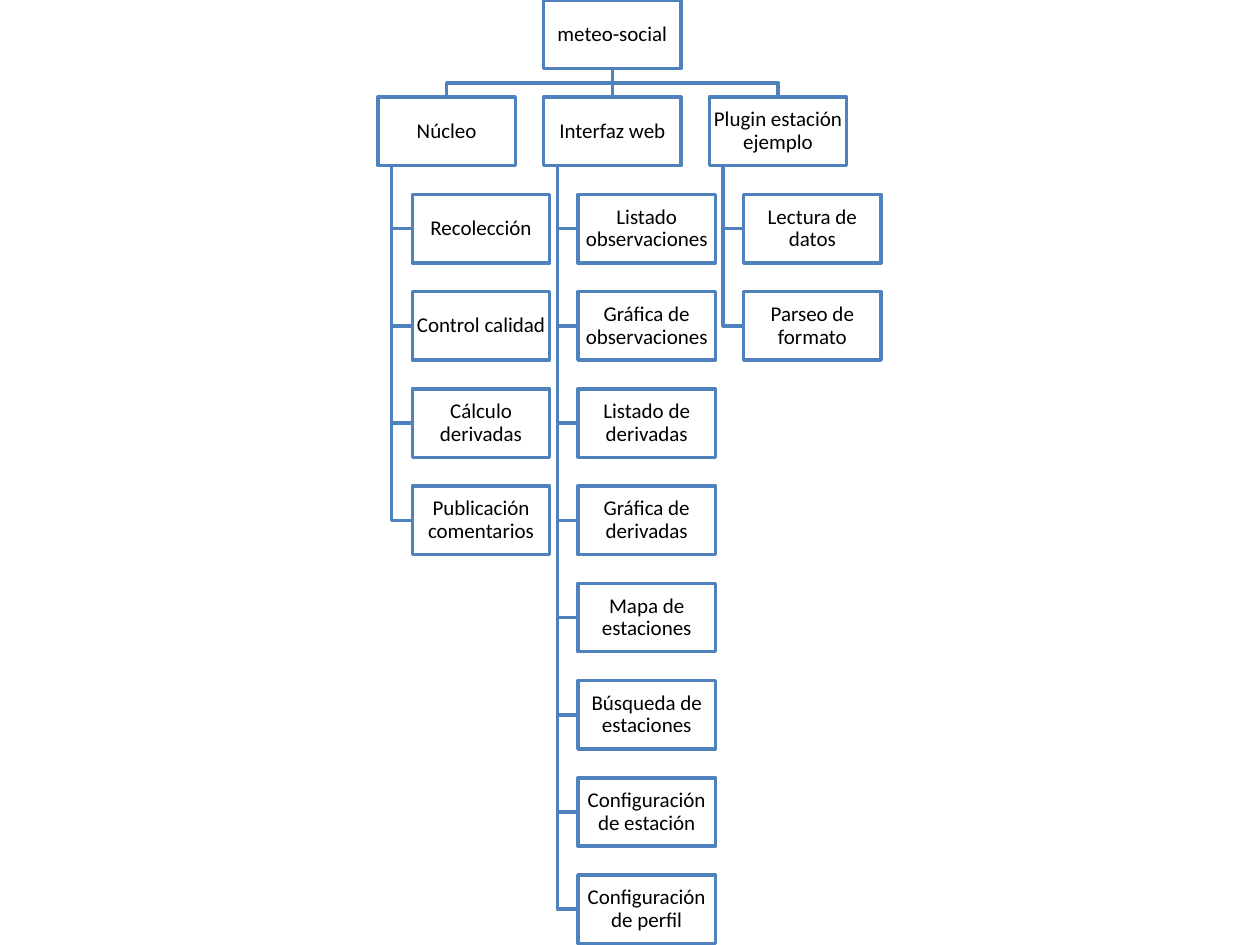
from dataclasses import dataclass

from lxml.etree import SubElement
from pptx import Presentation
from pptx.dml.color import RGBColor as Rgb
from pptx.enum.shapes import MSO_CONNECTOR as Link, MSO_SHAPE as Kind
from pptx.enum.text import MSO_ANCHOR as Anchor, PP_ALIGN as Align
from pptx.oxml.ns import qn
from pptx.util import Cm, Pt


@dataclass(frozen=True)
class Theme:
    line: Rgb = Rgb(0x4F, 0x81, 0xBD)
    fill: Rgb = Rgb(0xFF, 0xFF, 0xFF)
    ink: Rgb = Rgb(0, 0, 0)
    font: str = "Calibri"
    size: Pt = Pt(12)
    rule: Pt = Pt(2)


THEME = Theme()
LEFT = 7.62
WIDE, HIGH = 2.77, 1.38
COL, ROW = 3.34, 1.96
INSET = WIDE / 4
STEM = WIDE / 10
ROOT = "meteo-social"
TREE = {
    "Núcleo": [
        "Recolección",
        "Control calidad",
        "Cálculo derivadas",
        "Publicación comentarios",
    ],
    "Interfaz web": [
        "Listado observaciones",
        "Gráfica de observaciones",
        "Listado de derivadas",
        "Gráfica de derivadas",
        "Mapa de estaciones",
        "Búsqueda de estaciones",
        "Configuración de estación",
        "Configuración de perfil",
    ],
    "Plugin estación ejemplo": [
        "Lectura de datos",
        "Parseo de formato",
    ],
}


def stroke(shape):
    shape.line.color.rgb = THEME.line
    shape.line.width = THEME.rule


def add_bend(shapes, points):
    first, *rest = [(Cm(x), Cm(y)) for x, y in points]
    build = shapes.build_freeform(*first)
    build.add_line_segments(rest, close=False)
    bend = build.convert_to_shape()
    bend.shadow.inherit = False
    bend.fill.background()
    stroke(bend)


def add_line(shapes, x, top, end):
    line = shapes.add_connector(Link.STRAIGHT, Cm(x), Cm(top), Cm(x), Cm(end))
    SubElement(line._element.spPr, qn("a:effectLst"))
    stroke(line)


def add_box(shapes, x, y, text):
    box = shapes.add_shape(Kind.RECTANGLE, Cm(x), Cm(y), Cm(WIDE), Cm(HIGH))
    box.shadow.inherit = False
    box.fill.solid()
    box.fill.fore_color.rgb = THEME.fill
    stroke(box)
    frame = box.text_frame
    frame.word_wrap = True
    frame.vertical_anchor = Anchor.MIDDLE
    frame.margin_left = frame.margin_right = Cm(0.02)
    frame.margin_top = frame.margin_bottom = Cm(0.02)
    para = frame.paragraphs[0]
    para.alignment = Align.CENTER
    para.line_spacing = 0.9
    run = para.add_run()
    run.text = text
    run.font.name = THEME.font
    run.font.size = THEME.size
    run.font.color.rgb = THEME.ink


def add_fork(shapes, x, mid):
    hub = mid + WIDE / 2
    end = x + WIDE / 2
    if x == mid:
        add_line(shapes, hub, HIGH, ROW)
    else:
        bar = (HIGH + ROW) / 2
        add_bend(shapes, [(hub, HIGH), (hub, bar), (end, bar), (end, ROW)])


def add_branch(shapes, x, head, leaves):
    stem, edge = x + STEM, x + INSET
    tops = [ROW * (row + 2) for row in range(len(leaves))]
    for top in tops:
        mid = top + HIGH / 2
        add_bend(shapes, [(stem, ROW + HIGH), (stem, mid), (edge, mid)])
    add_box(shapes, x, ROW, head)
    for top, leaf in zip(tops, leaves):
        add_box(shapes, edge, top, leaf)


def main():
    deck = Presentation()
    deck.slide_width, deck.slide_height = Cm(25.4), Cm(19.05)
    shapes = deck.slides.add_slide(deck.slide_layouts[6]).shapes
    mid = LEFT + COL
    cols = [LEFT + COL * col for col in range(len(TREE))]
    for x in cols:
        add_fork(shapes, x, mid)
    add_box(shapes, mid, 0, ROOT)
    for x, (head, leaves) in zip(cols, TREE.items()):
        add_branch(shapes, x, head, leaves)
    deck.save("out.pptx")


if __name__ == "__main__":
    main()
